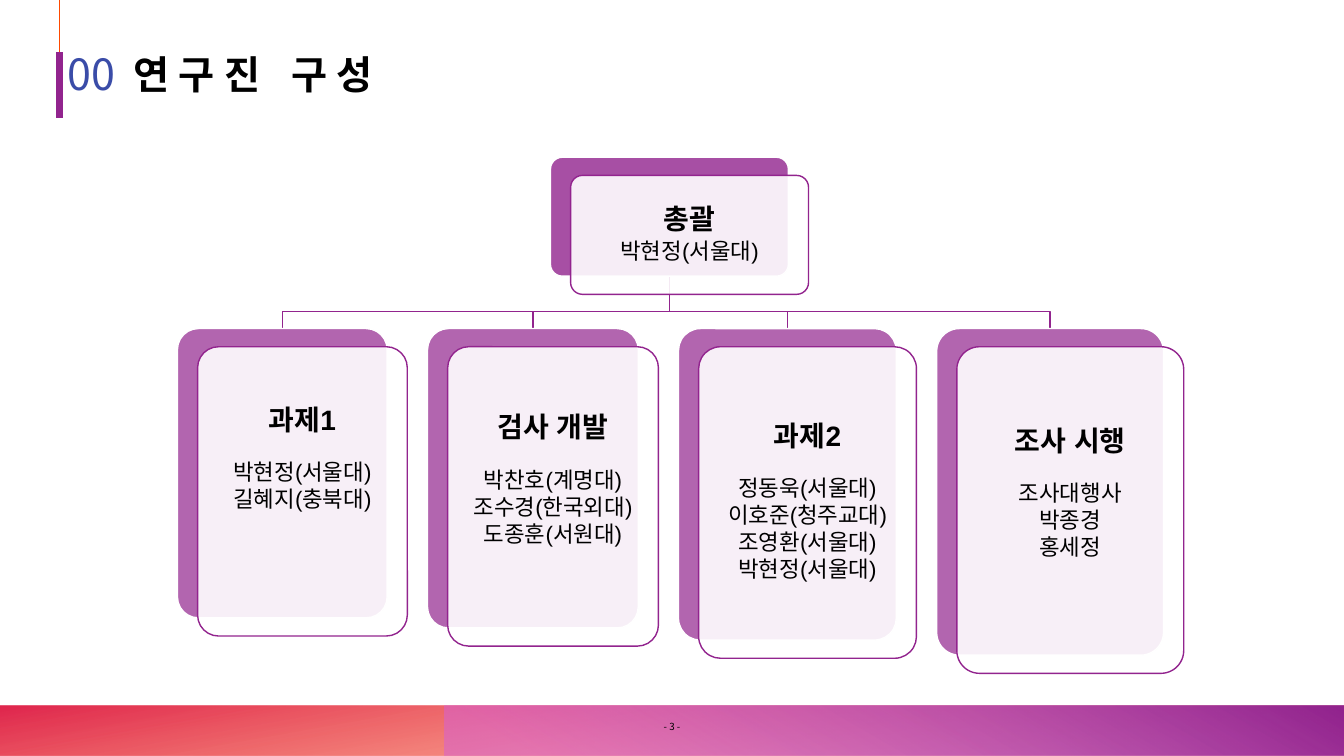
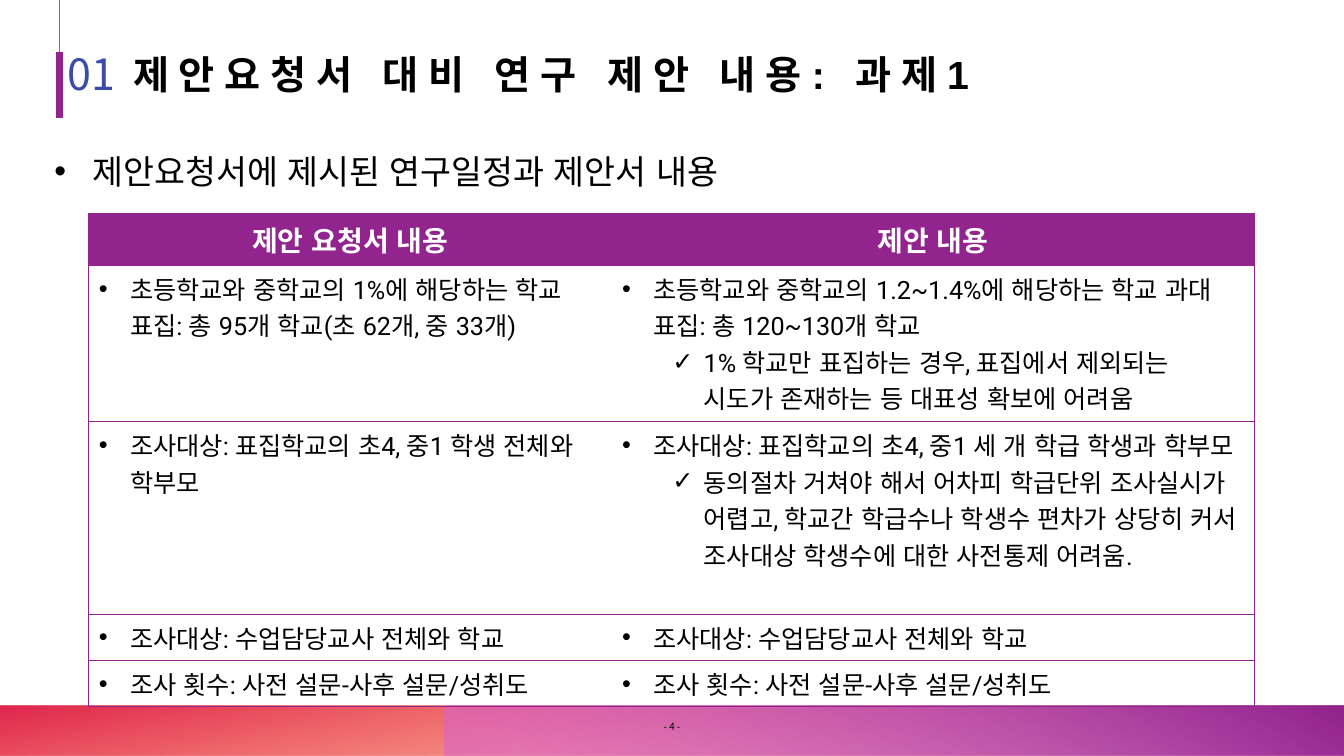
from collections import namedtuple

from lxml import etree
from pptx import Presentation
from pptx.dml.color import RGBColor
from pptx.enum.lang import MSO_LANGUAGE_ID
from pptx.enum.shapes import MSO_CONNECTOR, MSO_SHAPE
from pptx.enum.text import MSO_ANCHOR, PP_ALIGN
from pptx.oxml.ns import qn
from pptx.util import Inches, Pt

RECTANGLE = MSO_SHAPE.RECTANGLE
ROUNDED = MSO_SHAPE.ROUNDED_RECTANGLE
STRAIGHT = MSO_CONNECTOR.STRAIGHT
MIDDLE, TOP = MSO_ANCHOR.MIDDLE, MSO_ANCHOR.TOP
LEFT, CENTER = PP_ALIGN.LEFT, PP_ALIGN.CENTER
KOREAN = MSO_LANGUAGE_ID.KOREAN

PURPLE = RGBColor(0x92, 0x24, 0x8E)
ORCHID = RGBColor(0xD8, 0x61, 0xD4)
ORANGE = RGBColor(0xFE, 0x4A, 0x00)
RED = RGBColor(0xDA, 0x00, 0x2F)
BLUE = RGBColor(0x3A, 0x4C, 0xA8)
BLACK = RGBColor(0, 0, 0)
WHITE = RGBColor(0xFF, 0xFF, 0xFF)

KOREAN_FONT = "Noto Sans CJK KR"
TITLE_FONT = "Arial"
TABLE_FONT = "Roboto"

Box = namedtuple("Box", "left top width height")
Person = namedtuple("Person", "name school", defaults=("",))
Team = namedtuple("Team", "heading people width height")

SLIDE = Box(0, 0, 13.33, 7.5)
BAND = Box(0, SLIDE.height * 14 / 15, SLIDE.width, SLIDE.height / 15)
HEADER = Box(0.59, 0.5, 12.4, 0.47)

ROOT = Box(5.46, 1.56, 2.36, 1.18)
TEAM_LEFT, TEAM_TOP, TEAM_GAP = 1.76, 3.26, 0.4
FRONT_SHIFT_X, FRONT_SHIFT_Y = 0.2, 0.18
BUS_ABOVE_TEAMS = 0.17
MOST_PEOPLE, PERSON_ROW = 4, 0.32

LEADER = [Person("박현정", "서울대")]
TEAMS = [
    Team("과제1", [Person("박현정", "서울대"), Person("길혜지", "충북대")], 2.08, 2.87),
    Team("검사 개발", [Person("박찬호", "계명대"), Person("조수경", "한국외대"),
                   Person("도종훈", "서원대")], 2.09, 2.97),
    Team("과제2", [Person("정동욱", "서울대"), Person("이호준", "청주교대"),
                 Person("조영환", "서울대"), Person("박현정", "서울대")], 2.16, 3.09),
    Team("조사 시행", [Person("조사대행사"), Person("박종경"), Person("홍세정")], 2.25, 3.24),
]

TABLE = Box(0.88, 2.12, 11.56, 4.89)
COLUMN_WIDTHS = [5.19, 6.37]
ROW_HEIGHTS = [0.51, 1.55, 1.91, 0.46, 0.46]
TABLE_HEADINGS = ["제안 요청서 내용", "제안 내용"]
TEACHERS = "조사대상: 수업담당교사 전체와 학교"
ROUNDS = "조사 횟수: 사전 설문-사후 설문/성취도"
# Each cell lists its main point, then any points below it.
TABLE_ROWS = [
    [["초등학교와 중학교의 1%에 해당하는 학교 표집: 총 95개 학교(초 62개, 중 33개)"],
     ["초등학교와 중학교의 1.2~1.4%에 해당하는 학교 과대 표집: 총 120~130개 학교",
      "1% 학교만 표집하는 경우, 표집에서 제외되는 시도가 존재하는 등 대표성 확보에 어려움"]],
    [["조사대상: 표집학교의 초4, 중1 학생 전체와 학부모"],
     ["조사대상: 표집학교의 초4, 중1 세 개 학급 학생과 학부모",
      "동의절차 거쳐야 해서 어차피 학급단위 조사실시가 어렵고, 학교간 학급수나 학생수 "
      "편차가 상당히 커서 조사대상 학생수에 대한 사전통제 어려움."]],
    [[TEACHERS], [TEACHERS]],
    [[ROUNDS], [ROUNDS]],
]


def inches(box):
    return [Inches(length) for length in box]


def write_para(frame, text, size, font=TITLE_FONT, color=BLACK, bold=False, align=LEFT,
               spacing=None, before=0, after=0, tracking=0, bullet=None, indent=0, hang=0):
    """Fill the frame's empty first paragraph, or add one after the others."""
    para = frame.paragraphs[0]
    if para.runs:
        para = frame.add_paragraph()
    para.alignment = align
    para.space_before, para.space_after = Pt(before), Pt(after)
    if spacing:
        para.line_spacing = spacing
    if bullet:
        properties = para._p.get_or_add_pPr()
        properties.set("marL", str(Inches(indent)))
        properties.set("indent", str(-Inches(hang)))
        etree.SubElement(properties, qn("a:buFont")).set("typeface", TITLE_FONT)
        etree.SubElement(properties, qn("a:buChar")).set("char", bullet)
    span = para.add_run()
    span.text = text
    span.font.size, span.font.bold, span.font.name = Pt(size), bold, font
    span.font.color.rgb = color
    span.font.language_id = KOREAN
    run_properties = span.font._element
    etree.SubElement(run_properties, qn("a:ea")).set("typeface", KOREAN_FONT)
    if tracking:
        run_properties.set("spc", str(tracking * 100))


def set_insets(frame, side=0, top=0, bottom=0):
    frame.word_wrap = True
    frame.vertical_anchor = MIDDLE
    frame.margin_left = frame.margin_right = Inches(side)
    frame.margin_top, frame.margin_bottom = Inches(top), Inches(bottom)


def add_text(page, box, text, **text_format):
    frame = page.shapes.add_textbox(*inches(box)).text_frame
    set_insets(frame)
    write_para(frame, text, **text_format)


def set_opacity(shape, *percents):
    """Give the fill's colours, in order, their opacity."""
    colors = list(shape.element.spPr.iter(qn("a:srgbClr")))
    for color, percent in zip(colors, percents):
        etree.SubElement(color, qn("a:alpha")).set("val", str(percent * 1000))


def add_gradient(page, box, stops, angle):
    """Stops are (position, colour, opacity); the angle runs counter-clockwise."""
    shape = page.shapes.add_shape(RECTANGLE, *inches(box))
    shape.shadow.inherit = False
    shape.line.fill.background()
    shape.fill.gradient()
    shape.fill.gradient_angle = angle
    for stop, (position, color, _) in zip(shape.fill.gradient_stops, stops):
        stop.position = position
        stop.color.rgb = color
    set_opacity(shape, *(opacity for _, _, opacity in stops))


def add_vertical_line(page, left, top, bottom, color, width):
    line = page.shapes.add_connector(
        STRAIGHT, Inches(left), Inches(top), Inches(left), Inches(bottom))
    line.line.color.rgb = color
    line.line.width = Pt(width)
    etree.SubElement(line.element.spPr, qn("a:effectLst"))


def add_footer(page, box, number):
    add_gradient(page, box, [(0.14, ORANGE, 28), (1, RED, 85)], 100)
    purple_width = 8.92
    purple = box._replace(left=box.left + box.width - purple_width, width=purple_width)
    add_gradient(page, purple, [(0.09, ORCHID, 55), (0.99, PURPLE, 100)], 60)
    add_text(page, Box(box.left, box.top + 0.15, box.width, 0.12), f"- {number} -",
             size=7, font=KOREAN_FONT, align=CENTER)


def add_header(page, box, number, title):
    add_vertical_line(page, box.left, 0, 1.16, ORANGE, 0.25)
    add_vertical_line(page, box.left, 0.52, 1.17, PURPLE, 4.5)
    add_text(page, Box(box.left + 0.08, box.top - 0.07, 0.69, 0.59), number,
             size=30.7, font=KOREAN_FONT, color=BLUE)
    title_shift = 0.73
    add_text(page, Box(box.left + title_shift, box.top, box.width - title_shift, box.height),
             title, size=28, bold=True, tracking=7)


def add_page(deck, section, title, page_number):
    page = deck.slides.add_slide(deck.slide_layouts[6])
    add_footer(page, BAND, page_number)
    add_header(page, HEADER, section, title)
    return page


def add_card_face(page, box, fill, opacity, line):
    face = page.shapes.add_shape(ROUNDED, *inches(box))
    face.adjustments[0] = 0.1
    face.shadow.inherit = False
    face.fill.solid()
    face.fill.fore_color.rgb = fill
    face.line.color.rgb = line
    face.line.width = Pt(1)
    set_opacity(face, opacity)
    return face


def add_card(page, box, heading, people, back_opacity, heading_gap=0, empty_rows=0):
    """A tinted card with a white one shifted in front; empty rows stay free at the bottom."""
    add_card_face(page, box, PURPLE, back_opacity, WHITE)
    front = box._replace(left=box.left + FRONT_SHIFT_X, top=box.top + FRONT_SHIFT_Y)
    frame = add_card_face(page, front, WHITE, 90, PURPLE).text_frame
    set_insets(frame, side=0.1, top=0.16, bottom=0.16 + empty_rows * PERSON_ROW)
    write_para(frame, heading, size=20, bold=True, align=CENTER, spacing=0.9, after=3)
    for index, person in enumerate(people):
        label = f"{person.name}({person.school})" if person.school else person.name
        write_para(frame, label, size=16, align=CENTER, spacing=0.9, after=2,
                   before=0 if index else heading_gap)


def add_branch(page, parent, child):
    """An elbow from the parent's bottom middle to the child's top middle."""
    start_x, end_x = (box.left + box.width / 2 for box in (parent, child))
    bus = child.top - BUS_ABOVE_TEAMS
    corners = [(start_x, parent.top + parent.height), (start_x, bus),
               (end_x, bus), (end_x, child.top)]
    points = [(Inches(x), Inches(y)) for x, y in corners]
    builder = page.shapes.build_freeform(*points[0])
    builder.add_line_segments(points[1:], close=False)
    branch = builder.convert_to_shape()
    branch.shadow.inherit = False
    branch.fill.background()
    branch.line.color.rgb = PURPLE
    branch.line.width = Pt(1)


def add_organization(page, root):
    boxes = []
    left = TEAM_LEFT
    for team in TEAMS:
        boxes.append(Box(left, TEAM_TOP, team.width, team.height))
        left += team.width + TEAM_GAP
    for box in boxes:
        add_branch(page, root, box)
    add_card(page, root, "총괄", LEADER, back_opacity=80)
    for team, box in zip(TEAMS, boxes):
        add_card(page, box, team.heading, team.people, back_opacity=70, heading_gap=15,
                 empty_rows=MOST_PEOPLE - len(team.people))


def set_borders(cell, shown):
    """Draw the sides named in shown (of L, R, T, B) and clear the others."""
    properties = cell._tc.get_or_add_tcPr()
    for side in "LRTB":
        line = etree.SubElement(properties, qn(f"a:ln{side}"))
        line.set("w", str(Pt(0.5)))
        if side in shown:
            fill = etree.SubElement(line, qn("a:solidFill"))
            etree.SubElement(fill, qn("a:srgbClr")).set("val", str(PURPLE))
        else:
            etree.SubElement(line, qn("a:noFill"))


def add_comparison(page, box):
    table = page.shapes.add_table(
        len(ROW_HEIGHTS), len(COLUMN_WIDTHS), *inches(box)).table
    table.first_row = table.horz_banding = False
    for row, height in zip(table.rows, ROW_HEIGHTS):
        row.height = Inches(height)
    for index, width in enumerate(COLUMN_WIDTHS):
        table.columns[index].width = Inches(width)
        header = table.cell(0, index)
        set_borders(header, "TB" + "LR"[index])
        header.fill.solid()
        header.fill.fore_color.rgb = PURPLE
        write_para(header.text_frame, TABLE_HEADINGS[index], size=20, font=TABLE_FONT,
                   color=WHITE, bold=True, align=CENTER)
        for row_index, row in enumerate(TABLE_ROWS, start=1):
            cell = table.cell(row_index, index)
            set_borders(cell, "TB" + "LR"[index])
            cell.fill.background()
            cell.vertical_anchor = TOP
            for level, point in enumerate(row[index]):
                write_para(cell.text_frame, point, size=18, font=TABLE_FONT,
                           bullet="•✓"[level], indent=0.31 + 0.5 * level, hang=0.31)


def main():
    deck = Presentation()
    deck.slide_width, deck.slide_height = Inches(SLIDE.width), Inches(SLIDE.height)

    page = add_page(deck, "00", "연구진 구성", 3)
    add_organization(page, ROOT)

    page = add_page(deck, "01", "제안요청서 대비 연구 제안 내용: 과제1", 4)
    add_text(page, Box(0.54, 1.44, 12.26, 0.52), "제안요청서에 제시된 연구일정과 제안서 내용",
             size=24, bullet="•", indent=0.38, hang=0.38)
    add_comparison(page, TABLE)

    deck.save("out.pptx")


if __name__ == "__main__":
    main()
